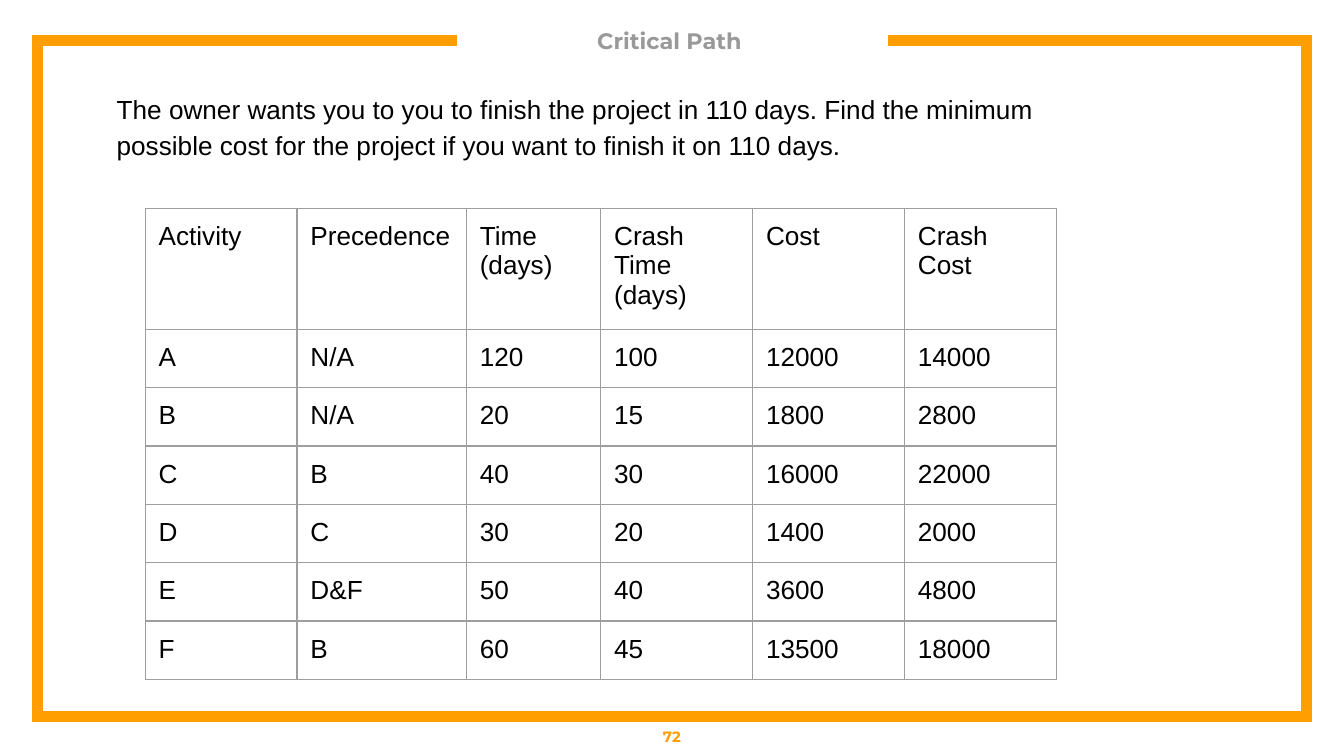
from pptx import Presentation
from pptx.dml.color import RGBColor
from pptx.enum import text
from pptx.oxml import parse_xml
from pptx.oxml.ns import nsdecls
from pptx.util import Inches, Pt

ORANGE, GREY, BLACK, RULE = "FF9E00", "999999", "000000", "9E9E9E"


def color(value):
    return RGBColor.from_string(value)


def write(frame, words, font, size, ink, bold=False, align=None, inset=0.1):
    frame.text = words
    frame.word_wrap = True
    frame.margin_left = frame.margin_right = Inches(inset)
    frame.margin_top = frame.margin_bottom = Inches(inset)
    paragraph = frame.paragraphs[0]
    paragraph.alignment = align
    for run in paragraph.runs:
        run.font.name = font
        run.font.size = Pt(size)
        run.font.bold = bold
        run.font.color.rgb = color(ink)


# Widescreen slide, 16:9
prs = Presentation()
prs.slide_width = Inches(10)
prs.slide_height = Inches(10 * 9 / 16)
slide = prs.slides.add_slide(prs.slide_layouts[5])

# Open orange frame with a gap for the title
corners = [(3.4, 0.3), (0.28, 0.3), (0.28, 5.33), (9.72, 5.33), (9.72, 0.3), (6.61, 0.3)]
points = [(Inches(x), Inches(y)) for x, y in corners]
outline = slide.shapes.build_freeform(*points[0])
outline.add_line_segments(points[1:], close=False)
frame = outline.convert_to_shape()
frame.shadow.inherit = False
frame.fill.background()
frame.line.color.rgb = color(ORANGE)
frame.line.width = Pt(6)
frame.line._get_or_add_ln().append(parse_xml(f'<a:miter {nsdecls("a")} lim="800000"/>'))

# Title
title = slide.shapes.title
title.left, title.top = Inches(3.55), Inches(0.11)
title.width, title.height = Inches(2.91), Inches(0.39)
write(title.text_frame, "Critical Path ", "Montserrat", 12, GREY, True, text.PP_ALIGN.CENTER, 0)
title.text_frame.vertical_anchor = text.MSO_ANCHOR.MIDDLE
title.text_frame.auto_size = text.MSO_AUTO_SIZE.NONE

# Page number
page = slide.shapes.add_textbox(Inches(0), Inches(5.33), Inches(10), Inches(0.3))
write(page.text_frame, "72", "Montserrat", 8, ORANGE, True, text.PP_ALIGN.CENTER)
page.text_frame.vertical_anchor = text.MSO_ANCHOR.MIDDLE

# Task
task = slide.shapes.add_textbox(Inches(0.77), Inches(0.56), Inches(7.1), Inches(0.71))
write(task.text_frame,
      "The owner wants you to you to finish the project in 110 days. Find the minimum "
      "possible cost for the project if you want to finish it on 110 days.",
      "Arial", 14, BLACK)
task.text_frame.paragraphs[0].line_spacing = 1.15

# Activity table
activities = [
    ("Activity", "Precedence", "Time (days)", "Crash Time (days)", "Cost", "Crash Cost"),
    ("A", "N/A", "120", "100", "12000", "14000"),
    ("B", "N/A", "20", "15", "1800", "2800"),
    ("C", "B", "40", "30", "16000", "22000"),
    ("D", "C", "30", "20", "1400", "2000"),
    ("E", "D&F", "50", "40", "3600", "4800"),
    ("F", "B", "60", "45", "13500", "18000"),
]
widths = [1.13, 1.26, 1, 1.13, 1.13, 1.13]
heights = [0.9] + [0.43] * 6
table = slide.shapes.add_table(len(heights), len(widths), Inches(1.08), Inches(1.55),
                               Inches(sum(widths)), Inches(sum(heights))).table
table.first_row = table.horz_banding = False
for column, width in zip(table.columns, widths):
    column.width = Inches(width)
for row, height, values in zip(table.rows, heights, activities):
    row.height = Inches(height)
    for cell, value in zip(row.cells, values):
        write(cell.text_frame, value, "Arial", 14, BLACK)
        cell.margin_left = cell.margin_right = Inches(0.1)
        cell.margin_top = cell.margin_bottom = Inches(0.1)
        cell.fill.background()
        borders = cell._tc.get_or_add_tcPr()
        for index, side in enumerate(("lnL", "lnR", "lnT", "lnB")):
            borders.insert(index, parse_xml(
                f'<a:{side} {nsdecls("a")} w="{Pt(0.75)}"><a:solidFill>'
                f'<a:srgbClr val="{RULE}"/></a:solidFill></a:{side}>'))

prs.save("out.pptx")
